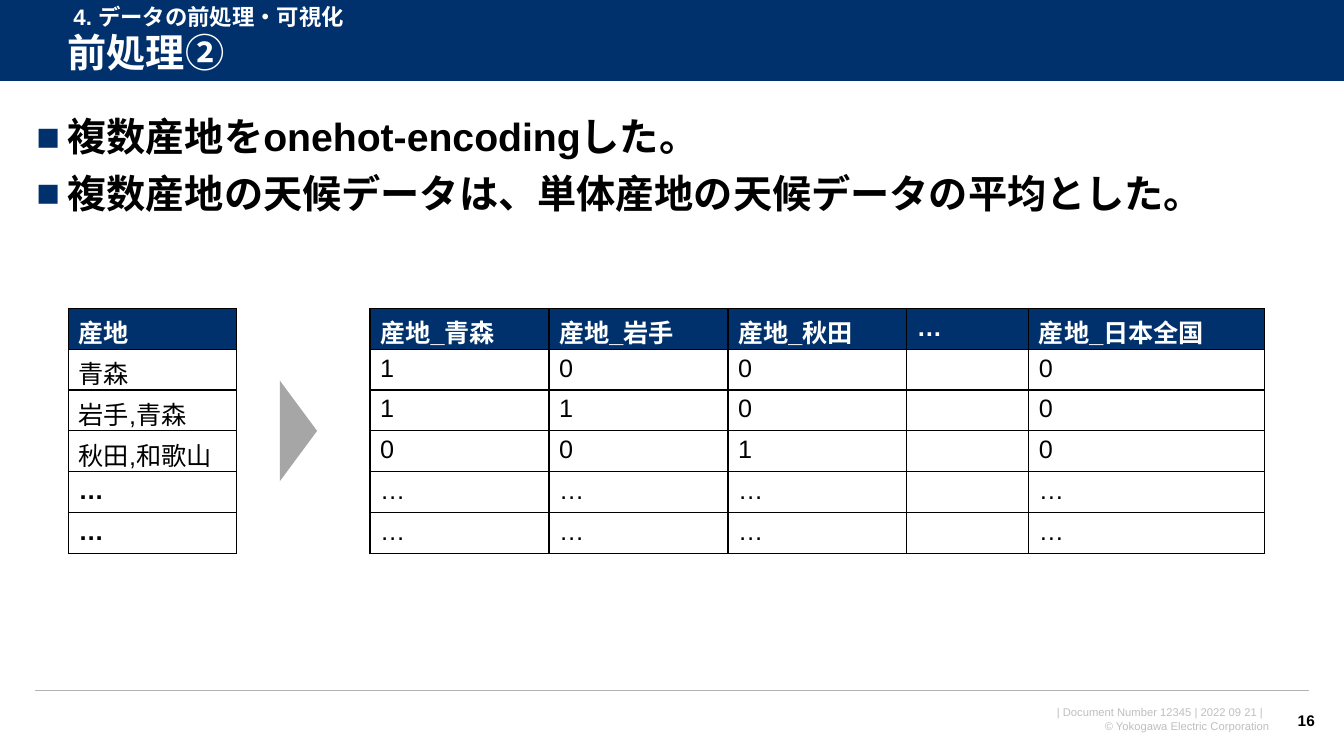
import pptx
import pptx.util
import pptx.dml.color
import pptx.enum.shapes
import pptx.enum.text
import pptx.oxml
import pptx.oxml.ns
from pptx.util import Inches

COLORS = {
    "navy": "00316C", "white": "FFFFFF", "black": "000000",
    "rule": "B2B2B2", "footer": "BFBFBF", "arrow": "A6A6A6",
}
FONT = "Arial"
ROW_HEIGHT = 0.405
ALIGN = pptx.enum.text.PP_ALIGN
ANCHOR = pptx.enum.text.MSO_ANCHOR
SHAPE = pptx.enum.shapes.MSO_SHAPE


def rgb(name):
    return pptx.dml.color.RGBColor.from_string(COLORS[name])


def place(sp, left, top, width, height):
    sp.left, sp.top = Inches(left), Inches(top)
    sp.width, sp.height = Inches(width), Inches(height)


def add_run(p, text, size, color, bold=False):
    r = p.add_run()
    r.text = text
    r.font.name, r.font.size, r.font.bold = FONT, pptx.util.Pt(size), bold
    r.font.color.rgb = rgb(color)


def add_xml(parent, tag, attrs="", inner=""):
    ns = pptx.oxml.ns.nsdecls("a")
    parent.append(pptx.oxml.parse_xml(f"<a:{tag} {ns} {attrs}>{inner}</a:{tag}>"))


def fill_text(tf, lines, size, color, bold=False, align=ALIGN.LEFT):
    for i, line in enumerate(lines):
        p = tf.add_paragraph() if i else tf.paragraphs[0]
        p.alignment = align
        add_run(p, line, size, color, bold)


def add_text(s, box, lines, size, color, bold=False, align=ALIGN.LEFT,
             anchor=ANCHOR.TOP, wrap=True):
    tf = s.shapes.add_textbox(*map(Inches, box)).text_frame
    tf.word_wrap, tf.vertical_anchor = wrap, anchor
    fill_text(tf, lines, size, color, bold, align)


def add_shape(s, kind, box, color):
    sp = s.shapes.add_shape(kind, *map(Inches, box))
    sp.shadow.inherit = False
    sp.fill.solid()
    sp.fill.fore_color.rgb = rgb(color)
    sp.line.fill.background()
    return sp


def add_rule(s, left, right, y, color, width):
    line = s.shapes.add_connector(pptx.enum.shapes.MSO_CONNECTOR.STRAIGHT,
                                  Inches(left), Inches(y), Inches(right), Inches(y))
    line.line.color.rgb = rgb(color)
    line.line.width = pptx.util.Pt(width)
    add_xml(line._element.spPr, "effectLst")
    return line


def set_title(s, text):
    sp = s.shapes.title
    place(sp, 0.57, 0.26, 12.47, 0.57)
    tf = sp.text_frame
    tf.auto_size = pptx.enum.text.MSO_AUTO_SIZE.NONE
    tf.vertical_anchor = ANCHOR.MIDDLE
    fill_text(tf, [text], 28, "white", True)
    tf.paragraphs[0].line_spacing = 0.9


def set_bullets(s, lines):
    sp = s.placeholders[1]
    place(sp, 0.26, 1.12, 12.78, 1.2)
    tf = sp.text_frame
    tf.auto_size = pptx.enum.text.MSO_AUTO_SIZE.NONE
    fill_text(tf, lines, 28, "black", True)
    for i, p in enumerate(tf.paragraphs):
        p.line_spacing = 0.9
        p.space_before = pptx.util.Pt(10 if i else 0)
        pPr = p._p.get_or_add_pPr()
        pPr.set("marL", str(Inches(0.31)))
        pPr.set("indent", str(Inches(-0.31)))
        add_xml(pPr, "buClr", inner=f'<a:srgbClr val="{COLORS["navy"]}"/>')
        add_xml(pPr, "buFont", f'typeface="{FONT}"')
        add_xml(pPr, "buChar", 'char="■"')


def set_borders(cell):
    tcPr = cell._tc.get_or_add_tcPr()
    line = f'<a:solidFill><a:srgbClr val="{COLORS["black"]}"/></a:solidFill>'
    for side in ("lnL", "lnR", "lnT", "lnB"):
        add_xml(tcPr, side, f'w="{pptx.util.Pt(1)}"', line)


def add_table(s, left, top, widths, rows, bold_ellipsis=False):
    """Add a bordered table whose first row is a navy header."""
    table = s.shapes.add_table(len(rows), len(widths), Inches(left), Inches(top),
                               Inches(sum(widths)), Inches(ROW_HEIGHT * len(rows))).table
    table.horz_banding = False
    for column, width in zip(table.columns, widths):
        column.width = Inches(width)
    for i, row in enumerate(rows):
        table.rows[i].height = Inches(ROW_HEIGHT)
        for j, text in enumerate(row):
            cell = table.cell(i, j)
            set_borders(cell)
            cell.fill.solid()
            cell.fill.fore_color.rgb = rgb("white" if i else "navy")
            if text:
                bold = i == 0 or (bold_ellipsis and text == "…")
                fill_text(cell.text_frame, [text], 18, "black" if i else "white", bold)


def add_header(s):
    band = add_shape(s, SHAPE.RECTANGLE, (0, 0, 13.33, 0.81), "navy")
    edge = add_rule(s, 0, 13.33, 0.81, "white", 0.75)
    for z, sp in enumerate((band, edge), start=2):  # behind the title
        s.shapes._spTree.insert(z, sp._element)
    set_title(s, "前処理②")
    add_text(s, (0.63, -0.02, 3.1, 0.37), ["4. データの前処理・可視化"], 16, "white", True)


def add_footer(s):
    add_rule(s, 0.35, 12.98, 6.85, "rule", 1)
    add_text(s, (9.48, 6.95, 3.21, 0.37),
             ["| Document Number 12345 | 2022 09 21 |  ", "© Yokogawa Electric Corporation"],
             8, "footer", align=ALIGN.RIGHT)
    add_text(s, (12.7, 6.95, 0.44, 0.4), ["16"], 11, "black", True,
             ALIGN.RIGHT, ANCHOR.MIDDLE, wrap=False)


def main():
    prs = pptx.Presentation()
    prs.slide_width, prs.slide_height = Inches(13.33), Inches(7.5)
    s = prs.slides.add_slide(prs.slide_layouts[1])
    add_header(s)
    add_footer(s)
    set_bullets(s, ["複数産地をonehot-encodingした。",
                    "複数産地の天候データは、単体産地の天候データの平均とした。"])
    origins = ["産地", "青森", "岩手,青森", "秋田,和歌山", "…", "…"]
    add_table(s, 0.68, 3.06, [1.67], [[origin] for origin in origins], bold_ellipsis=True)
    ellipsis_row = ["…", "…", "…", "", "…"]
    add_table(s, 3.67, 3.06, [1.775, 1.775, 1.775, 1.21, 2.34], [
        ["産地_青森", "産地_岩手", "産地_秋田", "…", "産地_日本全国"],
        ["1", "0", "0", "", "0"],
        ["1", "1", "0", "", "0"],
        ["0", "0", "1", "", "0"],
        ellipsis_row,
        ellipsis_row,
    ])
    arrow = add_shape(s, SHAPE.ISOSCELES_TRIANGLE, (2.46, 4.09, 1, 0.37), "arrow")
    arrow.rotation = 90
    prs.save("out.pptx")


if __name__ == "__main__":
    main()
